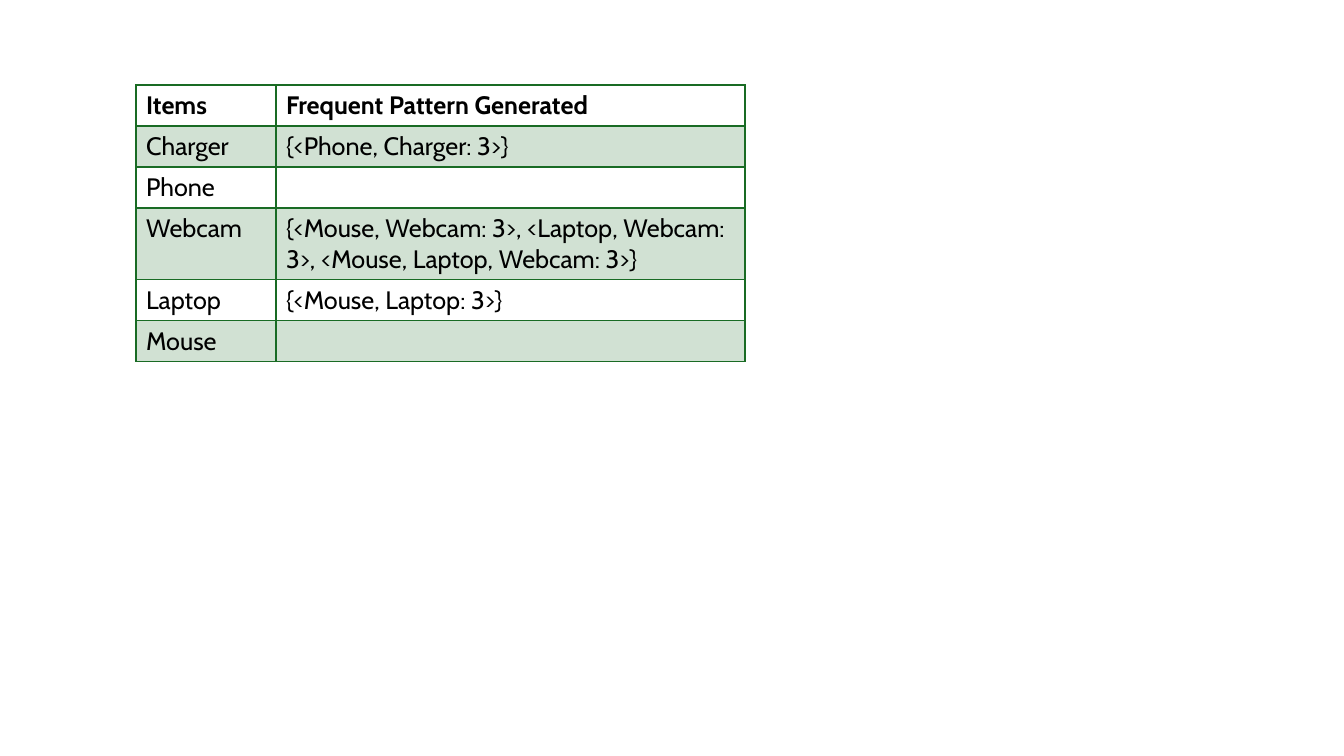
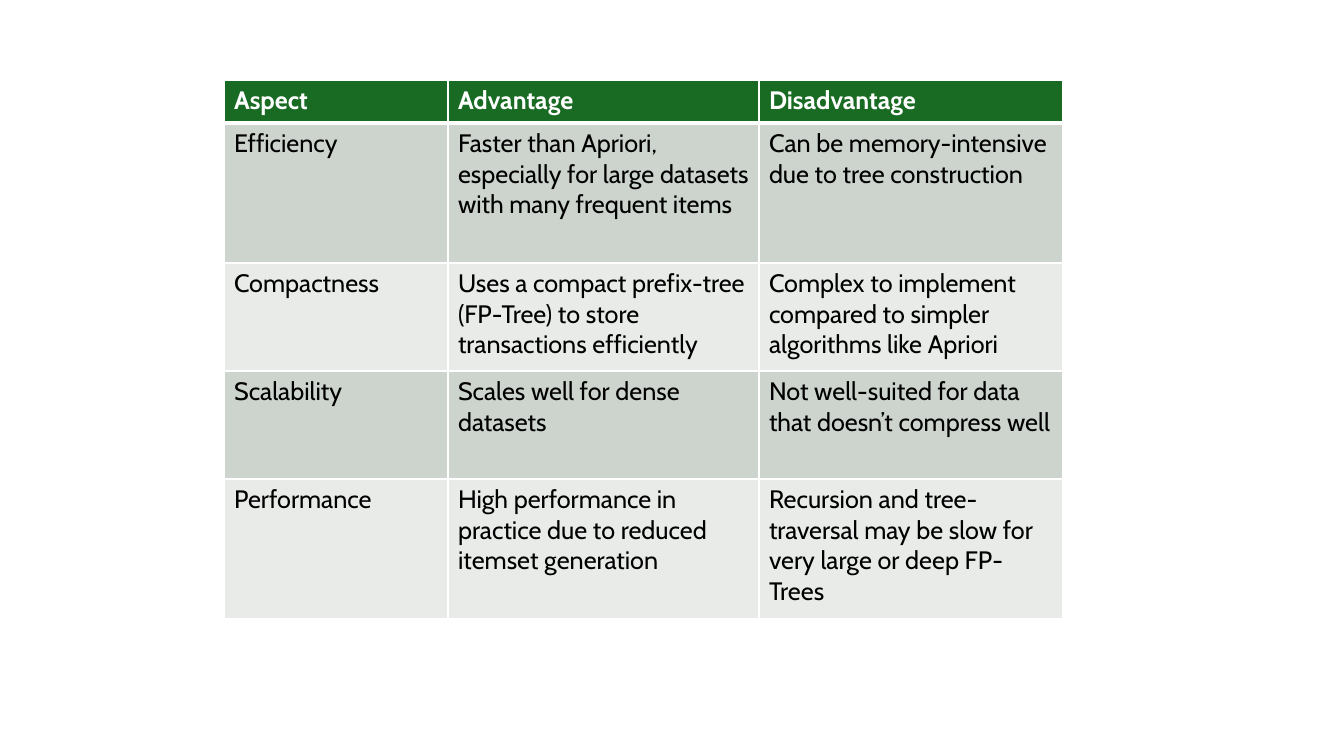
"""Build two slides of tables on frequent pattern mining."""
from lxml.etree import SubElement
from pptx import Presentation
from pptx.dml.color import RGBColor
from pptx.oxml.ns import qn
from pptx.util import Pt

PX = 914400 / 100.8
FONT, GREEN, BLACK, WHITE = "Cabin", "196B24", "000000", "FFFFFF"

TABLES = [
    dict(
        left=136, top=85, cols=[140, 469], heights=[41, 41, 41, 71, 41, 41],
        line=GREEN, rule=2, head_fill=None, head_color=BLACK,
        bands=[(GREEN, 20), None],
        rows=[
            ("Items", "Frequent Pattern Generated"),
            ("Charger", "{<Phone, Charger: 3>}"),
            ("Phone", ""),
            ("Webcam", "{<Mouse, Webcam: 3>, <Laptop, Webcam: 3>, <Mouse, Laptop, Webcam: 3>}"),
            ("Laptop", "{<Mouse, Laptop: 3>}"),
            ("Mouse", ""),
        ],
    ),
    dict(
        left=224, top=80, cols=[224, 311, 304], heights=[43, 140, 108, 108, 140],
        line=WHITE, rule=3, head_fill=(GREEN, 100), head_color=WHITE,
        bands=[("CCD4CD", 100), ("E8EBE8", 100)],
        rows=[
            ("Aspect", "Advantage", "Disadvantage"),
            ("Efficiency",
             "Faster than Apriori, especially for large datasets with many frequent items",
             "Can be memory-intensive due to tree construction"),
            ("Compactness",
             "Uses a compact prefix-tree (FP-Tree) to store transactions efficiently",
             "Complex to implement compared to simpler algorithms like Apriori"),
            ("Scalability",
             "Scales well for dense datasets",
             "Not well-suited for data that doesn’t compress well"),
            ("Performance",
             "High performance in practice due to reduced itemset generation",
             "Recursion and tree-traversal may be slow for very large or deep FP-Trees"),
        ],
    ),
]


def px(n):
    return round(n * PX)


def rgb(value):
    return RGBColor.from_string(value)


def set_borders(cell, color, widths):
    tc_pr = cell._tc.get_or_add_tcPr()
    for side, width in widths.items():
        ln = SubElement(tc_pr, qn(f"a:ln{side}"), w=str(Pt(width)))
        fill = SubElement(ln, qn("a:solidFill"))
        SubElement(fill, qn("a:srgbClr"), val=color)


def set_fill(cell, fill):
    if fill is None:
        cell.fill.background()
        return
    color, alpha = fill
    cell.fill.solid()
    cell.fill.fore_color.rgb = rgb(color)
    if alpha < 100:
        clr = cell._tc.tcPr.find(f"{qn('a:solidFill')}/{qn('a:srgbClr')}")
        SubElement(clr, qn("a:alpha"), val=str(alpha * 1000))


def set_text(cell, text, color, bold):
    if not text:
        return
    r = cell.text_frame.paragraphs[0].add_run()
    r.text = text
    for name, value in dict(name=FONT, size=Pt(18), bold=bold).items():
        setattr(r.font, name, value)
    r.font.color.rgb = rgb(color)


def add_table(s, t):
    cols, heights, rows = t["cols"], t["heights"], t["rows"]
    box = [px(n) for n in (t["left"], t["top"], sum(cols), sum(heights))]
    table = s.shapes.add_table(len(rows), len(cols), *box).table
    table.horz_banding = False
    for col, width in zip(table.columns, cols):
        col.width = px(width)
    for i, (row, height, texts) in enumerate(zip(table.rows, heights, rows)):
        row.height = px(height)
        head = i == 0
        fill = t["head_fill"] if head else t["bands"][(i - 1) % 2]
        widths = dict(L=1, R=1, T=t["rule"] if i == 1 else 1, B=t["rule"] if head else 1)
        for cell, text in zip(row.cells, texts):
            set_borders(cell, t["line"], widths)
            set_fill(cell, fill)
            set_text(cell, text, t["head_color"] if head else BLACK, head)


def main():
    prs = Presentation()
    prs.slide_width, prs.slide_height = px(1344), px(756)
    for t in TABLES:
        add_table(prs.slides.add_slide(prs.slide_layouts[6]), t)
    prs.save("out.pptx")


if __name__ == "__main__":
    main()
